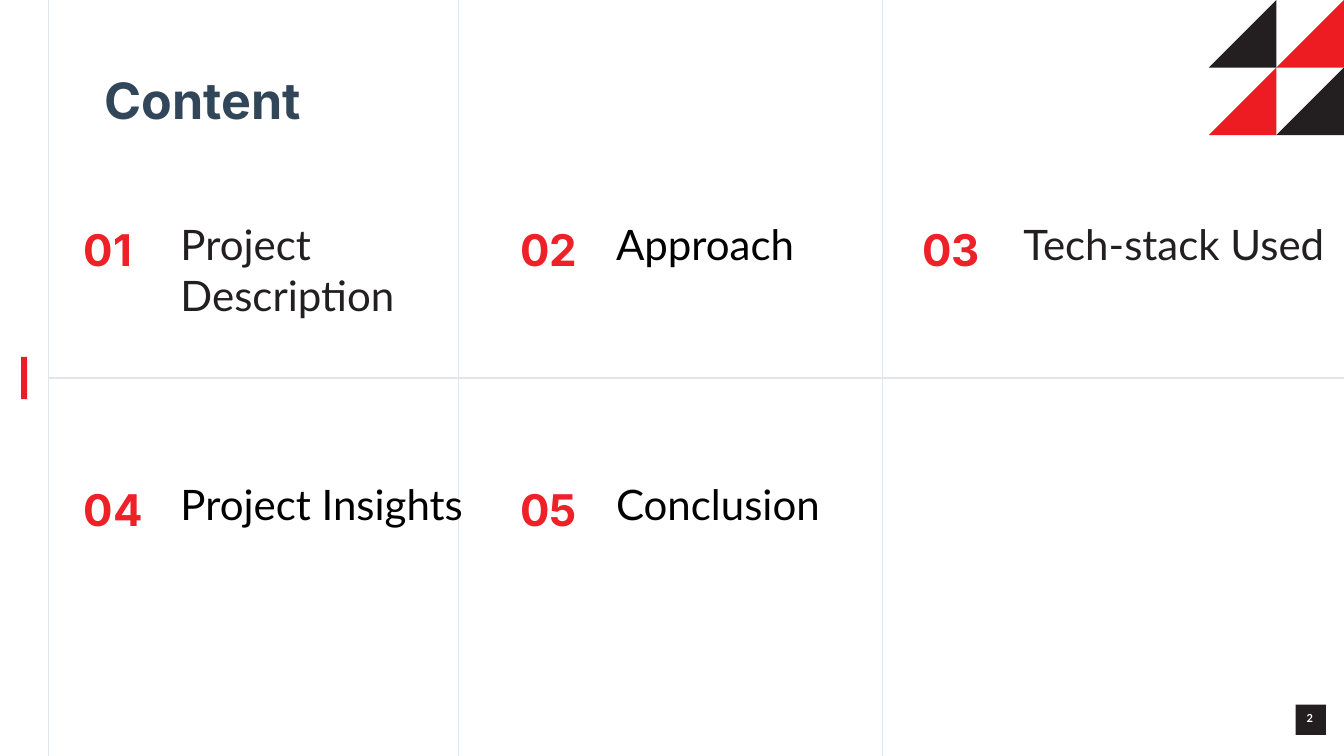
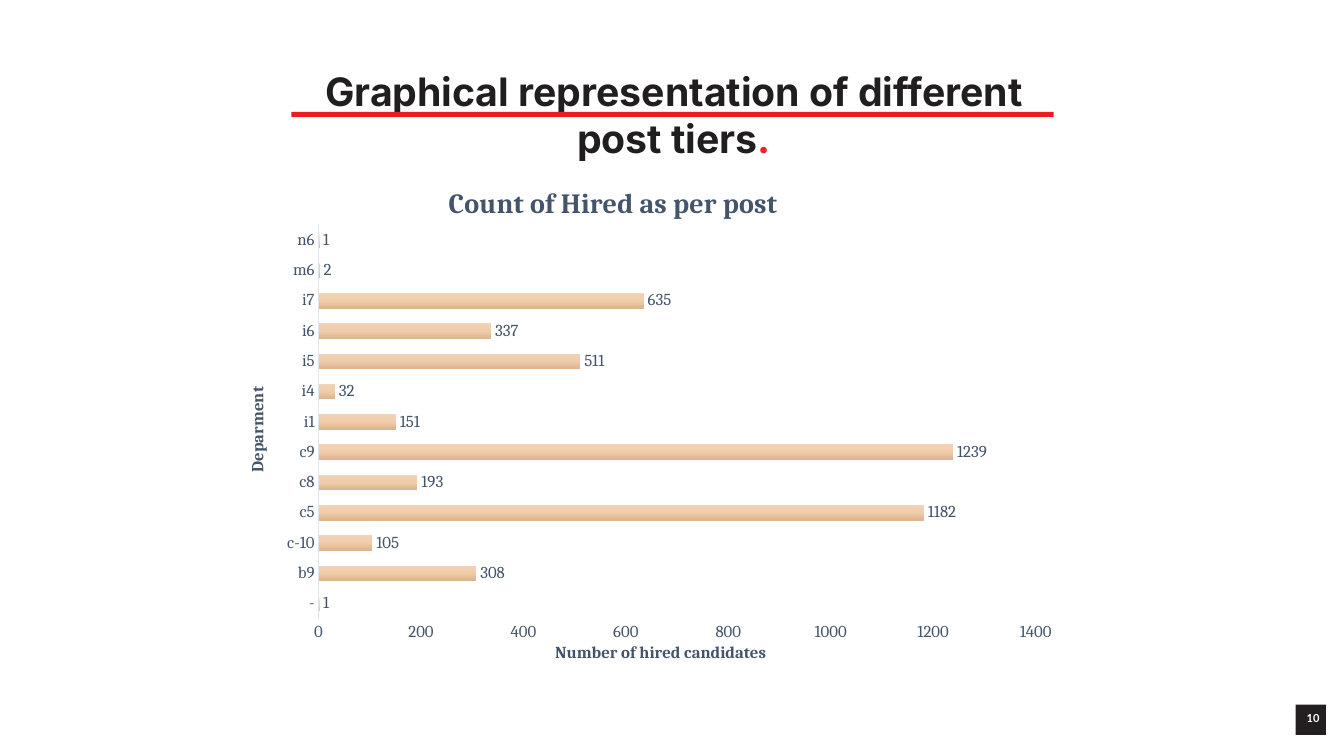
"""Build a content overview slide and a hiring chart slide."""
import copy
import dataclasses

import lxml.etree
import pptx
import pptx.chart.data
import pptx.dml.color
import pptx.enum.chart
import pptx.enum.shapes
import pptx.enum.text
import pptx.oxml.ns
import pptx.util

Inches = pptx.util.Inches
Pt = pptx.util.Pt
qn = pptx.oxml.ns.qn


@dataclasses.dataclass(frozen=True)
class Theme:
    """Colours, fonts and type sizes shared by the slides."""
    red: str = "ED1C23"
    number_red: str = "ED2127"
    dark: str = "231F20"
    black: str = "000000"
    white: str = "FFFFFF"
    navy: str = "324659"
    heading: str = "211E1F"
    grid: str = "E0E6E9"
    chart_text: str = "44546A"
    chart_axis: str = "E0E5EB"
    bar_gradient: tuple = ("F1D3B8", "F1CCA9", "DBB591")
    heading_font: str = "Inter"
    body_font: str = "Lato"
    chart_font: str = "Cambria"
    content_title_size: float = 35.8
    chart_slide_title_size: float = 28
    number_size: float = 53.7
    label_size: float = 30
    page_size: float = 7.9
    chart_title_size: float = 20
    chart_size: float = 12


THEME = Theme()
SLIDE_WIDTH = 13.33
SLIDE_HEIGHT = 7.5
GRID_COLUMNS = (0.48, 4.55, 8.75)
GRID_ROW = 3.75
ITEM_COLUMNS = ((0.77, 1.79), (5.1, 6.11), (9.09, 10.15))
ITEM_TOP = 1.65
ITEM_PITCH = 2.58
ITEMS = (
    (("Project", "Description"), THEME.dark),
    (("Approach",), THEME.black),
    (("Tech-stack Used",), THEME.dark),
    (("Project Insights",), THEME.black),
    (("Conclusion",), THEME.black),
)
HIRED = {
    "-": 1, "b9": 308, "c-10": 105, "c5": 1182, "c8": 193, "c9": 1239, "i1": 151,
    "i4": 32, "i5": 511, "i6": 337, "i7": 635, "m6": 2, "n6": 1,
}


def rgb(colour):
    """Return a colour object for a hex string."""
    return pptx.dml.color.RGBColor.from_string(colour)


def style_font(font, name, size, colour, bold=False):
    """Set the face, size, colour and weight of a font."""
    font.name = name
    font.size = Pt(size)
    font.bold = bold
    font.color.rgb = rgb(colour)


def set_insets(frame, left, top, right, bottom):
    """Set the four insets of a text frame in inches."""
    frame.margin_left = Inches(left)
    frame.margin_top = Inches(top)
    frame.margin_right = Inches(right)
    frame.margin_bottom = Inches(bottom)


def add_run(paragraph, text, *style):
    """Append a styled run to a paragraph."""
    run = paragraph.add_run()
    run.text = text
    style_font(run.font, *style)
    return run


def add_text_box(slide, left, top, width, height, insets=(0, 0.01, 0, 0)):
    """Add a wrapping text box and return its text frame."""
    frame = slide.shapes.add_textbox(
        Inches(left), Inches(top), Inches(width), Inches(height)).text_frame
    frame.word_wrap = True
    set_insets(frame, *insets)
    return frame


def fill_shape(shape, colour):
    """Give a shape a plain fill without line or shadow."""
    shape.shadow.inherit = False
    shape.fill.solid()
    shape.fill.fore_color.rgb = rgb(colour)
    shape.line.fill.background()


def add_rectangle(slide, left, top, width, height, colour):
    """Add a plain filled rectangle."""
    shape = slide.shapes.add_shape(
        pptx.enum.shapes.MSO_SHAPE.RECTANGLE,
        Inches(left), Inches(top), Inches(width), Inches(height))
    fill_shape(shape, colour)
    return shape


def add_grid_line(slide, start_x, start_y, end_x, end_y):
    """Add a thin straight grid line."""
    line = slide.shapes.add_connector(
        pptx.enum.shapes.MSO_CONNECTOR.STRAIGHT,
        Inches(start_x), Inches(start_y), Inches(end_x), Inches(end_y))
    line.line.color.rgb = rgb(THEME.grid)
    line.line.width = Pt(0.82)
    lxml.etree.SubElement(line.element.spPr, qn("a:effectLst"))


def add_corner_triangles(slide, size=0.67):
    """Add the two by two block of triangles in the top right corner."""
    for row in range(2):
        for column in range(2):
            right = SLIDE_WIDTH - (1 - column) * size
            top = row * size
            bottom = top + size
            builder = slide.shapes.build_freeform(Inches(right), Inches(top))
            builder.add_line_segments([
                (Inches(right - size), Inches(bottom)),
                (Inches(right), Inches(bottom))], close=True)
            fill_shape(builder.convert_to_shape(),
                       THEME.dark if row == column else THEME.red)


def add_page_number(slide, number):
    """Add the dark page number square."""
    shape = add_rectangle(slide, 12.85, 6.99, 0.3, 0.3, THEME.dark)
    frame = shape.text_frame
    set_insets(frame, 0.11, 0.07, 0, 0)
    frame.vertical_anchor = pptx.enum.text.MSO_ANCHOR.TOP
    paragraph = frame.paragraphs[0]
    paragraph.alignment = pptx.enum.text.PP_ALIGN.LEFT
    add_run(paragraph, str(number), THEME.body_font, THEME.page_size, THEME.white, True)


def add_title(slide, left, top, width, height, size, parts):
    """Add a bold title from text and colour pairs and return its paragraph."""
    paragraph = add_text_box(slide, left, top, width, height).paragraphs[0]
    for text, colour in parts:
        add_run(paragraph, text, THEME.heading_font, size, colour, True)
    return paragraph


def add_content_item(slide, index, lines, colour):
    """Add one numbered entry in its grid cell."""
    row, column = divmod(index, len(ITEM_COLUMNS))
    number_left, label_left = ITEM_COLUMNS[column]
    top = ITEM_TOP + row * ITEM_PITCH
    label = add_text_box(slide, label_left, top + 0.51, 3.18, 0.51 * len(lines))
    for position, line in enumerate(lines):
        paragraph = label.add_paragraph() if position else label.paragraphs[0]
        add_run(paragraph, line, THEME.body_font, THEME.label_size, colour)
    number = add_text_box(slide, number_left, top, 1.99, 1.03, (0.06,) * 4)
    run = add_run(number.paragraphs[0], f"{index + 1:02}",
                  THEME.heading_font, THEME.number_size, THEME.number_red, True)
    run.font._element.set("baseline", "-25000")


def set_layout(container, following, **fractions):
    """Place a chart part by fractions of the chart area."""
    for old_layout in container.findall(qn("c:layout")):
        container.remove(old_layout)
    layout = lxml.etree.Element(qn("c:layout"))
    manual = lxml.etree.SubElement(layout, qn("c:manualLayout"))
    if "w" in fractions:
        lxml.etree.SubElement(manual, qn("c:layoutTarget")).set("val", "inner")
    for name in ("x", "y"):
        lxml.etree.SubElement(manual, qn(f"c:{name}Mode")).set("val", "edge")
    for name, value in fractions.items():
        lxml.etree.SubElement(manual, qn(f"c:{name}")).set("val", str(value))
    container.find(qn(following)).addprevious(layout)


def style_chart_title(title, text, size, x, y):
    """Write and place a chart or axis title."""
    add_run(title.text_frame.paragraphs[0], text,
            THEME.chart_font, size, THEME.chart_text, True)
    set_layout(title.element, "c:overlay", x=x, y=y)


def style_axis(axis, text, x, y):
    """Style an axis and its title."""
    axis.has_major_gridlines = False
    axis.major_tick_mark = pptx.enum.chart.XL_TICK_MARK.NONE
    axis.minor_tick_mark = pptx.enum.chart.XL_TICK_MARK.NONE
    style_font(axis.tick_labels.font, THEME.chart_font, THEME.chart_size, THEME.chart_text)
    style_chart_title(axis.axis_title, text, THEME.chart_size, x, y)


def fill_bars(chart):
    """Fill the bars with the vertical three-stop gradient."""
    fill = chart.plots[0].series[0].format.fill
    fill.gradient()
    fill.gradient_angle = 270
    stop_list = next(chart.element.iter(qn("a:gsLst")))
    stop_list.append(copy.deepcopy(stop_list[-1]))
    for index, (stop, colour) in enumerate(zip(fill.gradient_stops, THEME.bar_gradient)):
        stop.position = index / 2
        stop.color.rgb = rgb(colour)


def add_hired_chart(slide):
    """Add the bar chart of hired candidates per post."""
    data = pptx.chart.data.CategoryChartData()
    data.categories = list(HIRED)
    data.add_series("Series 1", list(HIRED.values()))
    chart = slide.shapes.add_chart(
        pptx.enum.chart.XL_CHART_TYPE.BAR_CLUSTERED,
        Inches(2.25), Inches(1.64), Inches(8.27), Inches(4.98), data).chart
    style_font(chart.font, THEME.chart_font, 10, THEME.black)
    chart.has_legend = False
    chart.has_title = True
    style_chart_title(chart.chart_title, "Count of Hired as per post",
                      THEME.chart_title_size, 0.26, 0.03)

    category_axis = chart.category_axis
    style_axis(category_axis, "Deparment", 0.02, 0.44)
    body = next(category_axis.axis_title.element.iter(qn("a:bodyPr")))
    body.set("rot", "-5400000")
    body.set("vert", "horz")
    category_axis.format.line.color.rgb = rgb(THEME.chart_axis)
    category_axis.format.line.width = Pt(0.75)

    value_axis = chart.value_axis
    style_axis(value_axis, "Number of hired candidates", 0.39, 0.95)
    value_axis.minimum_scale = 0
    value_axis.maximum_scale = 1400
    value_axis.major_unit = 200
    value_axis.format.line.fill.background()

    plot = chart.plots[0]
    plot.gap_width = 100
    plot.vary_by_categories = False
    plot.has_data_labels = True
    labels = plot.data_labels
    labels.show_value = True
    labels.position = pptx.enum.chart.XL_LABEL_POSITION.OUTSIDE_END
    style_font(labels.font, THEME.chart_font, THEME.chart_size, THEME.chart_text)
    fill_bars(chart)
    plot_area = next(chart.element.iter(qn("c:plotArea")))
    set_layout(plot_area, "c:barChart", x=0.11, y=0.12, w=0.86, h=0.79)


def build_content_slide(slide):
    """Build the overview of the five sections."""
    for x in GRID_COLUMNS:
        add_grid_line(slide, x, 0, x, SLIDE_HEIGHT)
    add_grid_line(slide, GRID_COLUMNS[0], GRID_ROW, SLIDE_WIDTH, GRID_ROW)
    add_corner_triangles(slide)
    add_rectangle(slide, 0.21, 3.54, 0.06, 0.42, THEME.red)
    add_title(slide, 1.04, 0.68, 2.39, 0.61, THEME.content_title_size,
              [("Content", THEME.navy)])
    for index, (lines, colour) in enumerate(ITEMS):
        add_content_item(slide, index, lines, colour)
    add_page_number(slide, 2)


def build_chart_slide(slide):
    """Build the slide with the hiring chart."""
    title = add_title(
        slide, 2.85, 0.65, 7.67, 0.48, THEME.chart_slide_title_size,
        [("Graphical representation of different post tiers", THEME.heading),
         (".", THEME.number_red)])
    title.alignment = pptx.enum.text.PP_ALIGN.CENTER
    title.line_spacing = 1.01
    add_rectangle(slide, 2.89, 1.11, 7.56, 0.05, THEME.red)
    add_hired_chart(slide)
    add_page_number(slide, 10)


def main():
    """Create and save the presentation."""
    presentation = pptx.Presentation()
    presentation.slide_width = Inches(SLIDE_WIDTH)
    presentation.slide_height = Inches(SLIDE_HEIGHT)
    for build in (build_content_slide, build_chart_slide):
        build(presentation.slides.add_slide(presentation.slide_layouts[6]))
    presentation.save("out.pptx")


if __name__ == "__main__":
    main()
